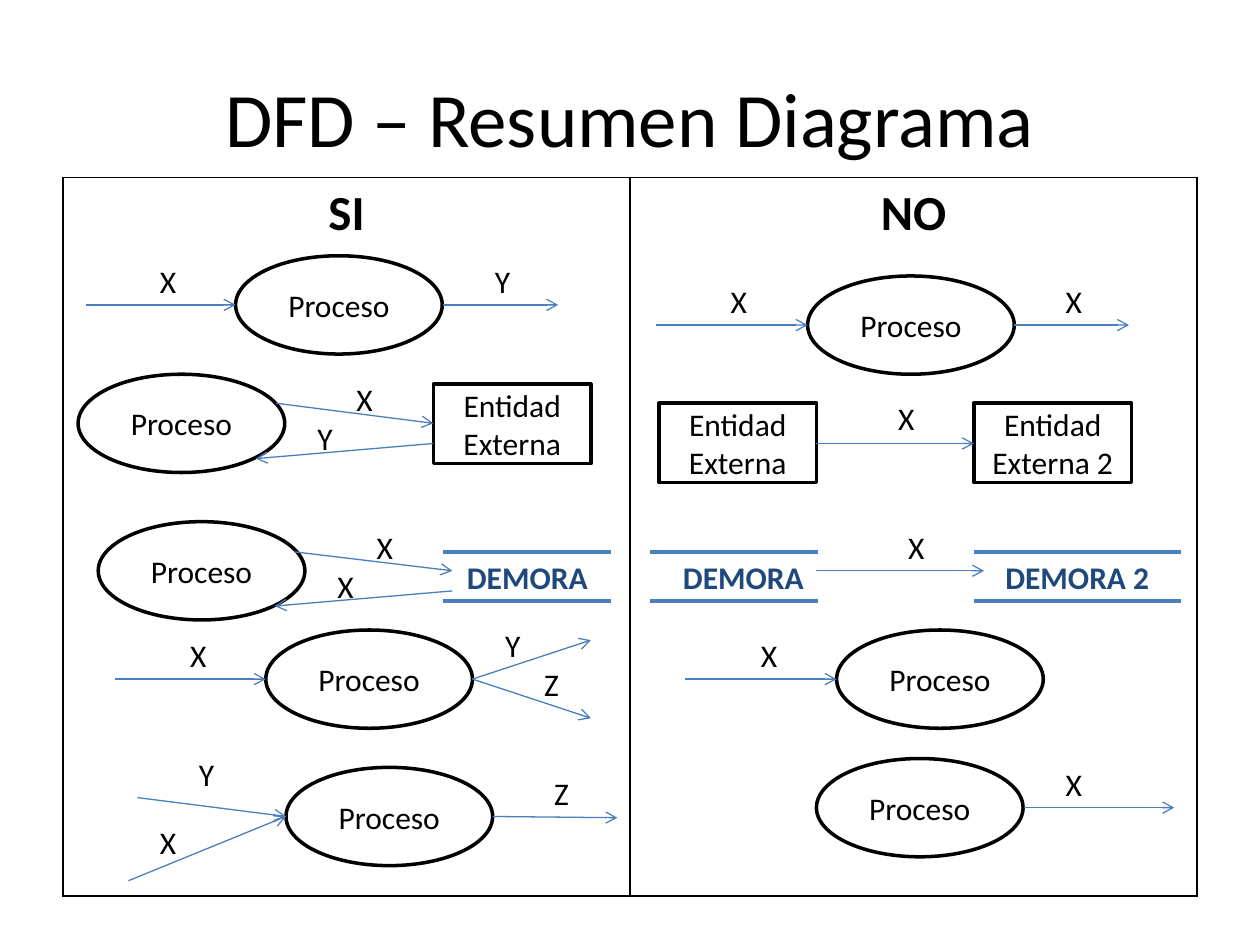
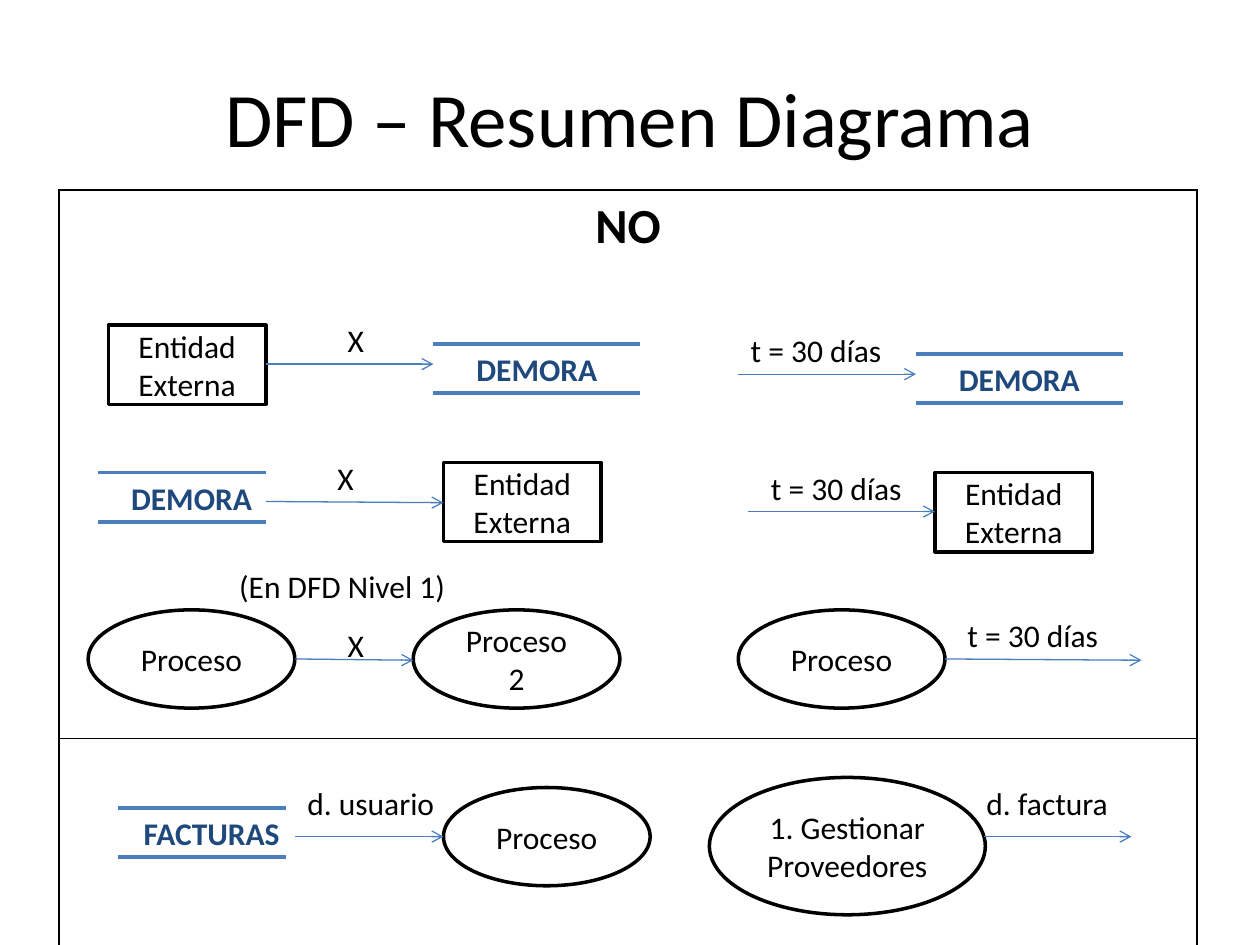
import pptx
import pptx.util
import pptx.dml.color
import pptx.enum.shapes
import pptx.enum.text
import pptx.oxml
import pptx.oxml.ns
from lxml import etree

Inches = pptx.util.Inches
Pt = pptx.util.Pt
RGBColor = pptx.dml.color.RGBColor
MSO_SHAPE = pptx.enum.shapes.MSO_SHAPE
CENTER = pptx.enum.text.PP_ALIGN.CENTER
LEFT = pptx.enum.text.PP_ALIGN.LEFT
MIDDLE = pptx.enum.text.MSO_ANCHOR.MIDDLE
TOP = pptx.enum.text.MSO_ANCHOR.TOP
qn = pptx.oxml.ns.qn

BLACK = RGBColor(0x00, 0x00, 0x00)
WHITE = RGBColor(0xFF, 0xFF, 0xFF)
FLOW_BLUE = RGBColor(0x4B, 0x7E, 0xBC)
STORE_NAVY = RGBColor(0x1F, 0x49, 0x7D)
FONT = "Calibri"
TITLE = "DFD – Resumen Diagrama"

PROCESS_SIZE = (1.64, 0.78)
ENTITY_SIZE = (1.25, 0.63)
STORE_GAP = 0.39
LABEL_HEIGHT = 0.4
LABEL_WIDTHS = {"X": 0.39, "Y": 0.39, "Z": 0.39, "t = 30 días": 1.72,
                "d. usuario": 1.25, "d. factura": 1.25}

# Entries: processes and entities (text, left, top[, size]);
SLIDES = [
    {
        "frame": {"at": (0.5, 1.41), "columns": [4.5, 4.5], "rows": [5.7],
                  "cells": [["SI", "NO"]]},
        "processes": [
            ("Proceso", 1.87, 2.03), ("Proceso", 0.62, 2.97),
            ("Proceso", 0.78, 4.14), ("Proceso", 2.11, 5),
            ("Proceso", 2.27, 6.09), ("Proceso", 6.41, 2.19),
            ("Proceso", 6.64, 5), ("Proceso", 6.48, 6.02),
        ],
        "entities": [
            ("Entidad Externa", 3.44, 3.05), ("Entidad Externa", 5.23, 3.2),
            ("Entidad Externa 2", 7.73, 3.2),
        ],
        "stores": [
            ("DEMORA", 3.52, 4.38, 1.33, 1.33), ("DEMORA", 5.16, 4.38, 1.33, 1.48),
            ("DEMORA 2", 7.73, 4.38, 1.64, 1.64),
        ],
        "flows": [
            ("X", (0.68, 2.42), (1.87, 2.42), (1.17, 2.03)),
            ("Y", (3.52, 2.42), (4.43, 2.42), (3.83, 2.03)),
            ("X", (2.19, 3.2), (3.44, 3.36), (2.73, 2.97)),
            ("Y", (3.44, 3.52), (2.03, 3.64), (2.42, 3.28)),
            ("X", (2.34, 4.38), (3.59, 4.53), (2.89, 4.14)),
            ("X", (3.59, 4.69), (2.18, 4.81), (2.58, 4.45)),
            ("X", (0.91, 5.39), (2.11, 5.39), (1.41, 5)),
            ("Y", (3.75, 5.39), (4.69, 5.08), (3.91, 4.92)),
            ("Z", (3.75, 5.39), (4.69, 5.7), (4.22, 5.23)),
            ("Y", (1.09, 6.33), (2.27, 6.48), (1.48, 5.94)),
            ("X", (1.02, 6.99), (2.27, 6.48), (1.17, 6.48)),
            ("Z", (3.91, 6.48), (4.9, 6.49), (4.3, 6.09)),
            ("X", (5.21, 2.58), (6.41, 2.58), (5.7, 2.19)),
            ("X", (8.05, 2.58), (8.96, 2.58), (8.36, 2.19)),
            ("X", (6.48, 3.52), (7.73, 3.52), (7.03, 3.12)),
            ("X", (6.48, 4.53), (7.81, 4.53), (7.11, 4.14)),
            ("X", (5.44, 5.39), (6.64, 5.39), (5.94, 5)),
            ("X", (8.13, 6.41), (9.32, 6.41), (8.36, 6.02)),
        ],
        "remarks": [],
    },
    {
        "frame": {"at": (0.47, 1.51), "columns": [9.03], "rows": [4.35, 1.96],
                  "cells": [["NO"], [""]]},
        "processes": [
            ("Proceso", 0.7, 4.84), ("Proceso 2", 3.28, 4.84),
            ("Proceso", 5.86, 4.84), ("Proceso", 3.52, 6.25),
            ("1. Gestionar Proveedores", 5.63, 6.17, (2.19, 1.09)),
        ],
        "entities": [
            ("Entidad Externa", 0.86, 2.58), ("Entidad Externa", 3.52, 3.67),
            ("Entidad Externa", 7.42, 3.75),
        ],
        "stores": [
            ("DEMORA", 3.44, 2.73, 1.64, 1.64), ("DEMORA", 0.78, 3.75, 1.33, 1.48),
            ("DEMORA", 7.27, 2.81, 1.64, 1.64), ("FACTURAS", 0.94, 6.41, 1.33, 1.48),
        ],
        "flows": [
            ("X", (2.11, 2.89), (3.44, 2.89), (2.66, 2.5)),
            ("X", (2.11, 3.98), (3.52, 3.99), (2.58, 3.59)),
            ("X", (2.34, 5.23), (3.28, 5.24), (2.66, 4.92)),
            ("t = 30 días", (5.86, 2.97), (7.27, 2.97), (5.86, 2.58)),
            ("t = 30 días", (5.94, 4.06), (7.42, 4.06), (6.02, 3.67)),
            ("t = 30 días", (7.5, 5.23), (9.06, 5.24), (7.58, 4.84)),
            ("d. usuario", (2.34, 6.64), (3.52, 6.64), (2.34, 6.17)),
            ("d. factura", (7.81, 6.64), (8.98, 6.64), (7.73, 6.17)),
        ],
        "remarks": [("(En DFD Nivel 1)", 1.8, 4.45, 1.86)],
    },
]


def write(frame, text, size=18, color=BLACK, bold=False, align=CENTER):
    paragraph = frame.paragraphs[0]
    paragraph.alignment = align
    run = paragraph.add_run()
    run.text = text
    run.font.name = FONT
    run.font.size = Pt(size)
    run.font.bold = bold
    run.font.color.rgb = color


def add_text(slide, text, left, top, width, height=LABEL_HEIGHT, anchor=TOP,
             wrap=True, **style):
    box = slide.shapes.add_textbox(Inches(left), Inches(top), Inches(width), Inches(height))
    box.text_frame.word_wrap = wrap
    box.text_frame.vertical_anchor = anchor
    write(box.text_frame, text, **style)


def add_node(slide, preset, size, text, left, top):
    node = slide.shapes.add_shape(preset, Inches(left), Inches(top),
                                  Inches(size[0]), Inches(size[1]))
    node.shadow.inherit = False
    node.fill.solid()
    node.fill.fore_color.rgb = WHITE
    node.line.color.rgb = BLACK
    node.line.width = Pt(2)
    node.text_frame.word_wrap = True
    node.text_frame.vertical_anchor = MIDDLE
    write(node.text_frame, text)


def add_line(slide, start, end, width, arrow=False):
    line = slide.shapes.add_connector(
        pptx.enum.shapes.MSO_CONNECTOR.STRAIGHT,
        *(Inches(value) for value in start + end))
    line.line.color.rgb = FLOW_BLUE
    line.line.width = Pt(width)
    if arrow:
        etree.SubElement(line.line._get_or_add_ln(), qn("a:tailEnd"), type="arrow")
    etree.SubElement(line._element.spPr, qn("a:effectLst"))


def add_store(slide, text, left, top, width, text_width):
    for y in (top, top + STORE_GAP):
        add_line(slide, (left, y), (left + width, y), 2.25)
    add_text(slide, text, left, top, text_width, color=STORE_NAVY, bold=True)


def border(cell):
    properties = cell._tc.get_or_add_tcPr()
    for side in ("a:lnL", "a:lnR", "a:lnT", "a:lnB"):
        edge = etree.SubElement(properties, qn(side), w=str(Pt(1)))
        fill = etree.SubElement(edge, qn("a:solidFill"))
        etree.SubElement(fill, qn("a:srgbClr"), val=str(BLACK))


def add_frame(slide, at, columns, rows, cells):
    table = slide.shapes.add_table(
        len(rows), len(columns), Inches(at[0]), Inches(at[1]),
        Inches(sum(columns)), Inches(sum(rows))).table
    table.first_row = False
    table.horz_banding = False
    for column, width in zip(table.columns, columns):
        column.width = Inches(width)
    for row, height, headings in zip(table.rows, rows, cells):
        row.height = Inches(height)
        for cell, heading in zip(row.cells, headings):
            border(cell)
            cell.fill.background()
            if heading:
                write(cell.text_frame, heading, size=28, bold=True)


def build(deck, content):
    slide = deck.slides.add_slide(deck.slide_layouts[6])
    add_text(slide, TITLE, 0.5, 0.3, 9, 1.25, anchor=MIDDLE, size=44)
    add_frame(slide, **content["frame"])
    for text, left, top, *size in content["processes"]:
        add_node(slide, MSO_SHAPE.OVAL, size[0] if size else PROCESS_SIZE, text, left, top)
    for text, left, top in content["entities"]:
        add_node(slide, MSO_SHAPE.RECTANGLE, ENTITY_SIZE, text, left, top)
    for store in content["stores"]:
        add_store(slide, *store)
    for label, start, end, label_at in content["flows"]:
        add_line(slide, start, end, 0.75, arrow=True)
        add_text(slide, label, *label_at, LABEL_WIDTHS[label], align=LEFT)
    for remark in content["remarks"]:
        add_text(slide, *remark, wrap=False, align=LEFT)


deck = pptx.Presentation()
deck.slide_width = Inches(10)
deck.slide_height = Inches(7.5)
for content in SLIDES:
    build(deck, content)
deck.save("out.pptx")
